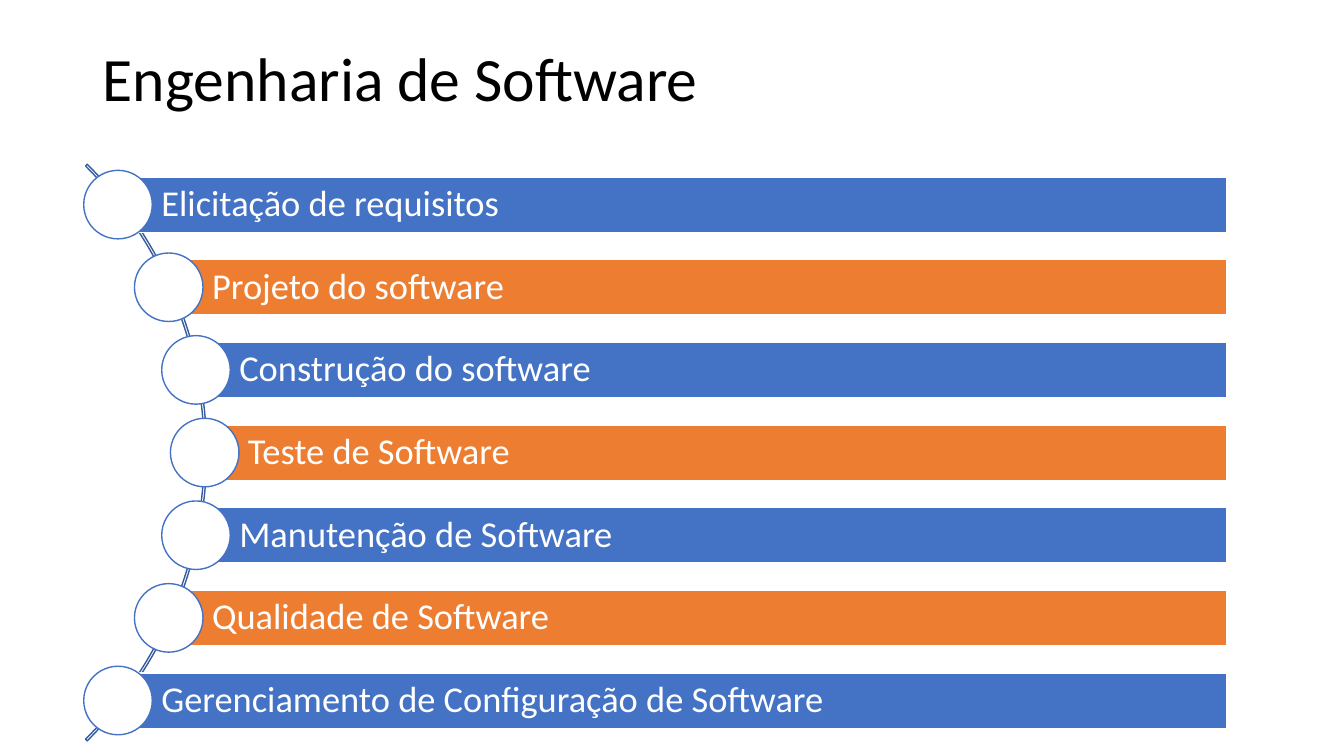
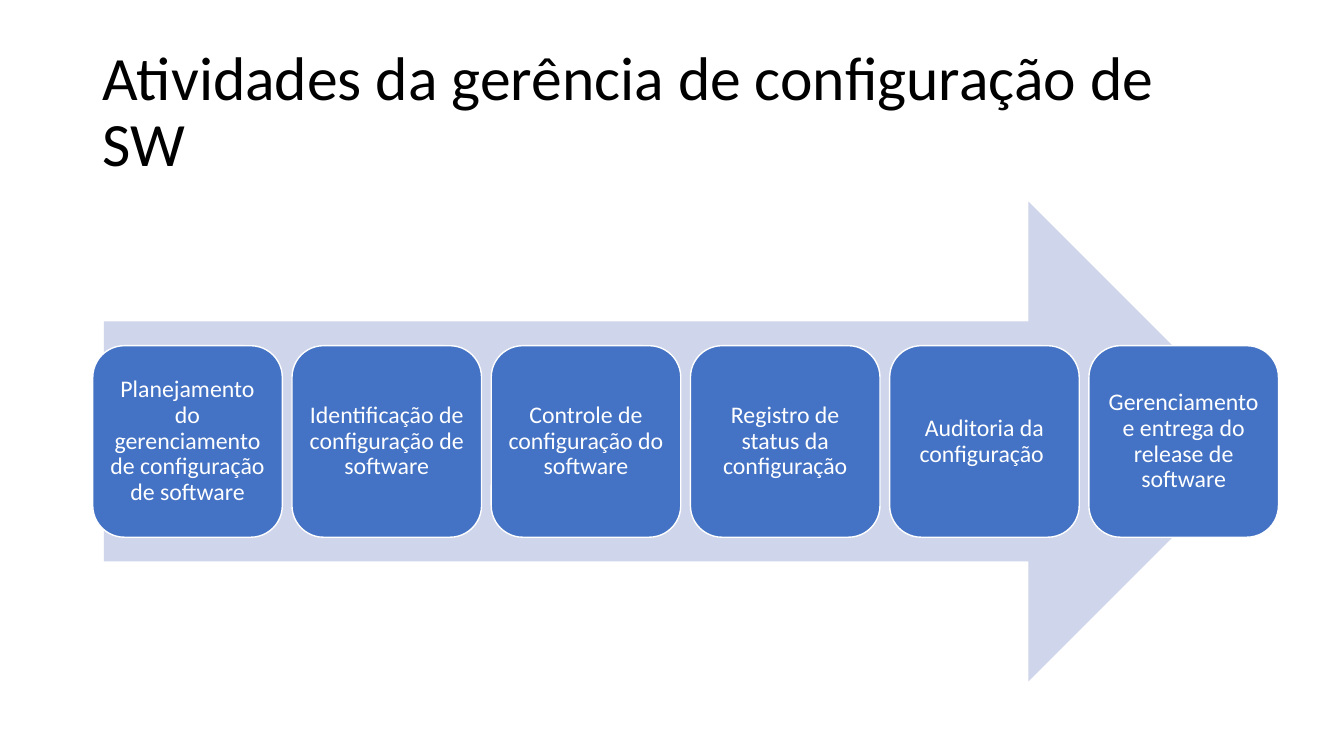
from math import sqrt

from pptx import Presentation
from pptx.dml.color import RGBColor
from pptx.enum.shapes import MSO_SHAPE
from pptx.enum.text import MSO_ANCHOR, MSO_AUTO_SIZE, PP_ALIGN
from pptx.util import Inches, Pt

BLACK = RGBColor(0x00, 0x00, 0x00)
WHITE = RGBColor(0xFF, 0xFF, 0xFF)
BLUE = RGBColor(0x44, 0x72, 0xC4)
NAVY = RGBColor(0x36, 0x5B, 0x9D)
ORANGE = RGBColor(0xED, 0x7D, 0x31)
PALE = RGBColor(0xCF, 0xD5, 0xEA)

RECT = MSO_SHAPE.RECTANGLE
ROUND = MSO_SHAPE.ROUNDED_RECTANGLE
OVAL = MSO_SHAPE.OVAL
ARC = MSO_SHAPE.BLOCK_ARC
ARROW = MSO_SHAPE.RIGHT_ARROW
LEFT = PP_ALIGN.LEFT
CENTER = PP_ALIGN.CENTER
MIDDLE = MSO_ANCHOR.MIDDLE
NO_FIT = MSO_AUTO_SIZE.NONE

FONT = "Calibri"
PAD = 0.07
TITLE_ONLY = 5

AREAS = [
    "Elicitação de requisitos",
    "Projeto do software",
    "Construção do software",
    "Teste de Software",
    "Manutenção de Software",
    "Qualidade de Software",
    "Gerenciamento de Configuração de Software",
]
STEPS = [
    "Planejamento do gerenciamento de configuração de software",
    "Identificação de configuração de software",
    "Controle de configuração do software",
    "Registro de status da configuração",
    "Auditoria da configuração ",
    "Gerenciamento e entrega do release de software",
]


def write(shape, text, size, color, align, pads):
    """Put one styled run of text into a shape, centred vertically."""
    frame = shape.text_frame
    frame.word_wrap = True
    frame.auto_size = NO_FIT
    frame.vertical_anchor = MIDDLE
    left, top, right, bottom = pads
    frame.margin_left, frame.margin_top = Inches(left), Inches(top)
    frame.margin_right, frame.margin_bottom = Inches(right), Inches(bottom)
    para = frame.paragraphs[0]
    para.alignment = align
    para.line_spacing = 0.9
    run = para.add_run()
    run.text = text
    run.font.name = FONT
    run.font.size = Pt(size)
    run.font.color.rgb = color


def draw(slide, kind, box, fill=None, line=None):
    """Add a flat preset shape with an optional fill and outline."""
    shape = slide.shapes.add_shape(kind, *map(Inches, box))
    shape.shadow.inherit = False
    if fill is None:
        shape.fill.background()
    else:
        shape.fill.solid()
        shape.fill.fore_color.rgb = fill
    if line is None:
        shape.line.fill.background()
    else:
        shape.line.color.rgb = line
        shape.line.width = Pt(1)
    return shape


def start(deck, text, height):
    """Add a title-only slide with its title placed and styled."""
    slide = deck.slides.add_slide(deck.slide_layouts[TITLE_ONLY])
    title = slide.shapes.title
    title.left, title.top = Inches(0.92), Inches(0.4)
    title.width, title.height = Inches(11.5), Inches(height)
    write(title, text, 44, BLACK, LEFT, (0.1, 0.05, 0.1, 0.05))
    return slide


def curve(slide, box, labels):
    """Place bars and discs along an arc that bulges to the right."""
    left, top, width, height = box
    pitch, thick, disc, bend, span = 0.82, 0.55, 0.68, 3.95, 8.09
    right, mid = left + width, top + height / 2
    peak = left + 1.2
    arc = draw(slide, ARC, (peak + 0.02 - span, mid - span / 2, span, span),
               line=NAVY)
    for i, value in enumerate((189, 27, 0.003)):
        arc.adjustments[i] = value
    for i, label in enumerate(labels):
        drop = (i - (len(labels) - 1) / 2) * pitch
        x = peak - bend + sqrt(bend ** 2 - drop ** 2)
        y = mid + drop
        bar = draw(slide, RECT, (x, y - thick / 2, right - x, thick),
                   (BLUE, ORANGE)[i % 2], WHITE)
        write(bar, label, 26, WHITE, LEFT, (0.43, PAD, PAD, PAD))
        draw(slide, OVAL, (x - disc / 2, y - disc / 2, disc, disc),
             WHITE, BLUE)


def flow(slide, box, labels):
    """Lay evenly spaced cards over a wide arrow."""
    left, top, width, height = box
    wide, tall = 1.88, 1.9
    draw(slide, ARROW, (left + 0.11, top, width - 0.21, height), PALE)
    pitch = (width - wide) / (len(labels) - 1)
    y = top + (height - tall) / 2
    for i, label in enumerate(labels):
        card = draw(slide, ROUND, (left + i * pitch, y, wide, tall),
                    BLUE, WHITE)
        write(card, label, 17, WHITE, CENTER, (PAD,) * 4)


def main():
    """Build and save both slides."""
    deck = Presentation()
    deck.slide_width, deck.slide_height = Inches(13.33), Inches(7.5)
    slide = start(deck, "Engenharia de Software", 0.81)
    curve(slide, (0.83, 1.69, 11.34, 5.6), AREAS)
    slide = start(deck, "Atividades da gerência de configuração de SW", 1.45)
    flow(slide, (0.92, 2, 11.76, 4.76), STEPS)
    deck.save("out.pptx")


if __name__ == "__main__":
    main()
